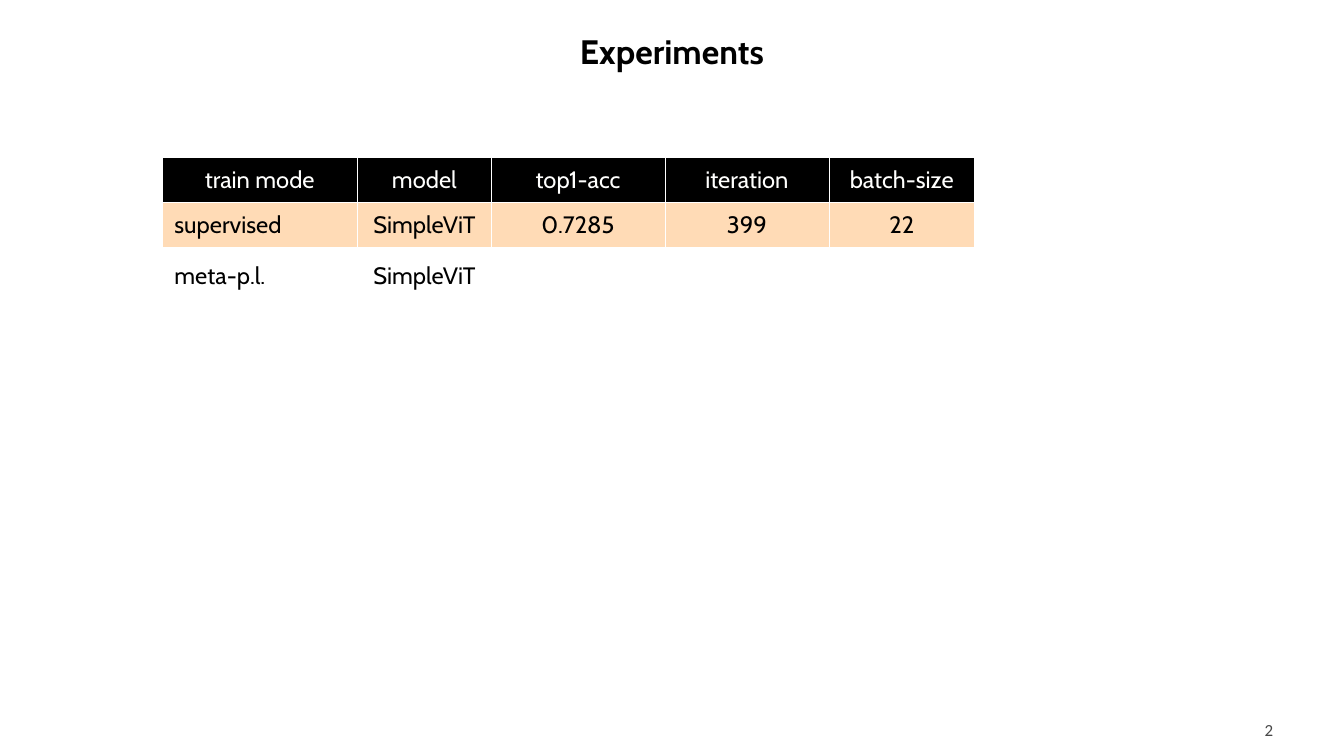
from lxml import etree
from pptx import Presentation
from pptx.dml.color import RGBColor
from pptx.enum import text
from pptx.oxml import ns
from pptx.util import Inches, Pt

BLACK = RGBColor(0x00, 0x00, 0x00)
WHITE = RGBColor(0xFF, 0xFF, 0xFF)
HEADER_TEXT = RGBColor(0xFF, 0xFF, 0xFE)
PEACH = RGBColor(0xFF, 0xDB, 0xB6)
GRAY = RGBColor(0x47, 0x47, 0x47)

TITLE = "Experiments"
PAGE_NUMBER = "2"
COLUMN_WIDTHS = [1.6, 1.1, 1.42, 1.35, 1.19]
# height, fill, text colour, cells
ROWS = [
    (0.37, BLACK, HEADER_TEXT, ["train mode", "model", "top1-acc", "iteration", "batch-size"]),
    (0.37, PEACH, BLACK, ["supervised", "SimpleViT", "0.7285", "399", "22"]),
    (0.47, WHITE, BLACK, ["meta-p.l.", "SimpleViT", "", "", ""]),
]
BORDER_WIDTH = Pt(0.06)


def write(text_frame, words, font_name, size, color, align, bold=False):
    text_frame.text = words
    paragraph = text_frame.paragraphs[0]
    paragraph.alignment = align
    for run in paragraph.runs:
        run.font.name = font_name
        run.font.size = Pt(size)
        run.font.color.rgb = color
        run.font.bold = bold


def add_text(slide, box, margins, anchor, *style):
    """Add a wrapping text box; margins are (horizontal, vertical) inches."""
    text_frame = slide.shapes.add_textbox(*map(Inches, box)).text_frame
    text_frame.word_wrap = True
    text_frame.vertical_anchor = anchor
    text_frame.margin_left = text_frame.margin_right = Inches(margins[0])
    text_frame.margin_top = text_frame.margin_bottom = Inches(margins[1])
    write(text_frame, *style)


def add_borders(cell):
    properties = cell._tc.get_or_add_tcPr()
    for side in ("a:lnL", "a:lnR", "a:lnT", "a:lnB"):
        line = etree.SubElement(properties, ns.qn(side), w=str(BORDER_WIDTH))
        fill = etree.SubElement(line, ns.qn("a:solidFill"))
        etree.SubElement(fill, ns.qn("a:srgbClr"), val=str(WHITE))


def add_results(slide):
    size = sum(COLUMN_WIDTHS), sum(row[0] for row in ROWS)
    table = slide.shapes.add_table(
        len(ROWS), len(COLUMN_WIDTHS), *map(Inches, (1.33, 1.29, *size))).table
    for column, width in zip(table.columns, COLUMN_WIDTHS):
        column.width = Inches(width)
    for r, (height, fill, color, values) in enumerate(ROWS):
        table.rows[r].height = Inches(height)
        for c, value in enumerate(values):
            cell = table.cell(r, c)
            add_borders(cell)
            cell.fill.solid()
            cell.fill.fore_color.rgb = fill
            cell.vertical_anchor = text.MSO_ANCHOR.MIDDLE
            align = text.PP_ALIGN.LEFT if r and not c else text.PP_ALIGN.CENTER
            write(cell.text_frame, value, "Cabin", 14, color, align)


def main():
    presentation = Presentation()
    presentation.slide_width = Inches(11.02)
    presentation.slide_height = Inches(6.2)
    slide = presentation.slides.add_slide(presentation.slide_layouts[6])
    add_text(slide, (10.27, 5.85, 0.75, 0.31), (0.1, 0.05), text.MSO_ANCHOR.TOP,
             PAGE_NUMBER, "Calibri", 10, GRAY, text.PP_ALIGN.LEFT)
    add_text(slide, (0.55, 0.17, 9.92, 0.5), (0, 0), text.MSO_ANCHOR.MIDDLE,
             TITLE, "Cabin", 20, BLACK, text.PP_ALIGN.CENTER, True)
    add_results(slide)
    presentation.save("out.pptx")


if __name__ == "__main__":
    main()
